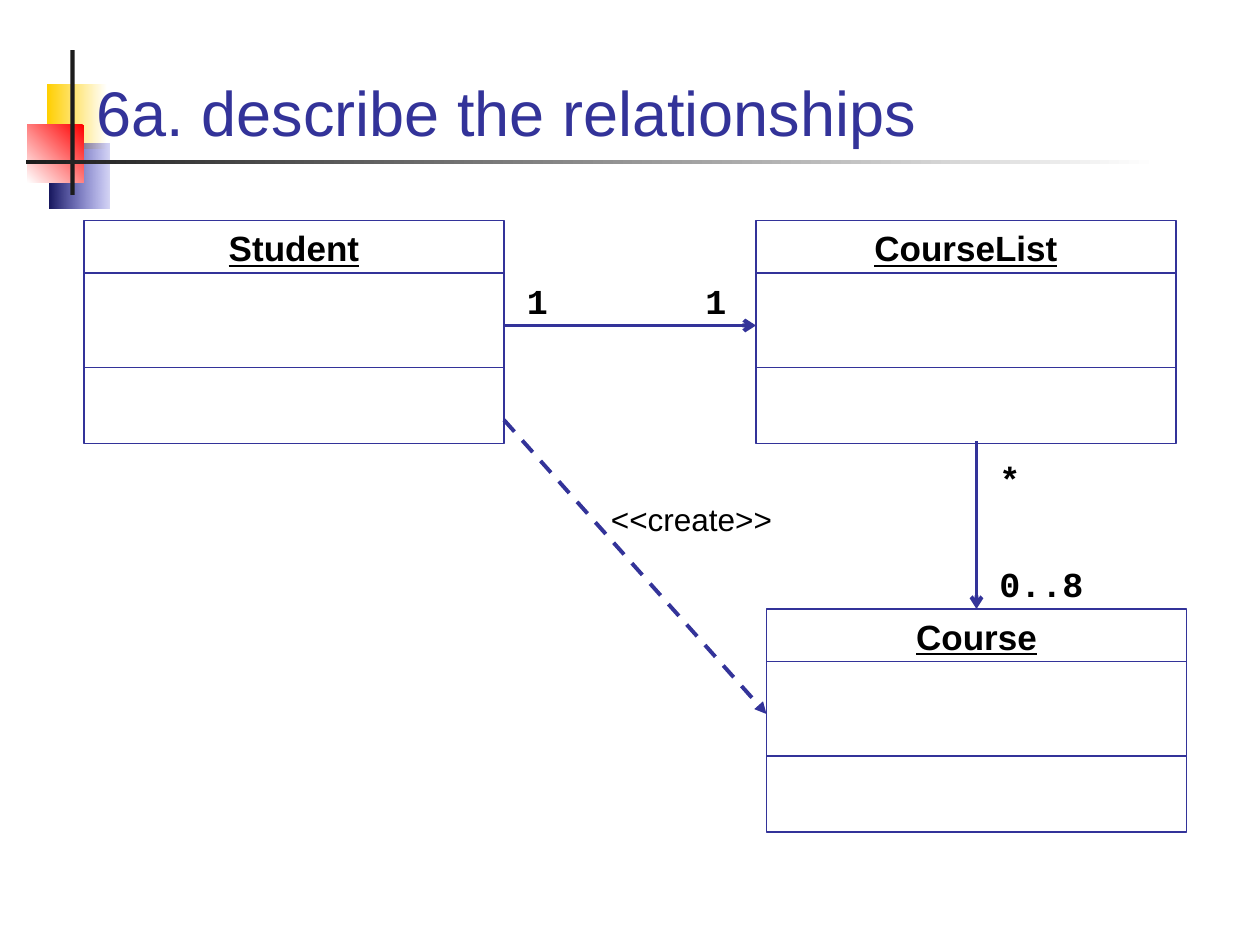
"""Build a class diagram slide describing the relationships of three classes."""
from lxml import etree
from pptx import Presentation
from pptx.dml.color import RGBColor
from pptx.enum.dml import MSO_LINE
from pptx.enum.shapes import MSO_CONNECTOR, MSO_SHAPE
from pptx.enum.text import MSO_ANCHOR, MSO_AUTO_SIZE, PP_ALIGN
from pptx.oxml.ns import qn
from pptx.util import Inches, Pt

RECTANGLE = MSO_SHAPE.RECTANGLE
STRAIGHT = MSO_CONNECTOR.STRAIGHT
DASH = MSO_LINE.DASH
TOP, BOTTOM = MSO_ANCHOR.TOP, MSO_ANCHOR.BOTTOM
LEFT, CENTER = PP_ALIGN.LEFT, PP_ALIGN.CENTER
NO_FIT = MSO_AUTO_SIZE.NONE
INDIGO, BLACK, CHARCOAL, WHITE = "333399", "000000", "1C1C1C", "FFFFFF"
CELL = Inches(1) / 12
CLASS_WIDTH, CLASS_HEIGHT = 40, 21.25


def grid(*cells):
    return [round(cell * CELL) for cell in cells]


def write(shape, text, size=20, font="Arial", color=BLACK, bold=False,
          underline=False, align=LEFT, anchor=TOP, wrap=True):
    frame = shape.text_frame
    frame.auto_size = NO_FIT
    frame.word_wrap = wrap
    frame.vertical_anchor = anchor
    paragraph = frame.paragraphs[0]
    paragraph.alignment = align
    run = paragraph.add_run()
    run.text = text
    run.font.size = Pt(size)
    run.font.name = font
    run.font.bold = bold
    run.font.underline = underline
    run.font.color.rgb = RGBColor.from_string(color)


presentation = Presentation()
presentation.slide_width, presentation.slide_height = grid(120, 90)
slide = presentation.slides.add_slide(presentation.slide_layouts[5])
shapes = slide.shapes

decorations = [
    ((4.5, 8, 5.7, 6.2), (WHITE, "FFCF01"), 180, None),
    ((4.7, 13.7, 5.7, 6.2), ("3333CC", "17175E"), 180, 20),
    ((2.6, 11.9, 5.4, 5.5), ("FF0000", WHITE), 225, None),
    ((6.7, 4.8, 0.4, 13.8), (CHARCOAL, CHARCOAL), 180, None),
    ((2.5, 15.2, 107.9, 0.4), (WHITE, CHARCOAL), 180, None),
]
for cells, colors, angle, opacity in decorations:
    decoration = shapes.add_shape(RECTANGLE, *grid(*cells))
    decoration.shadow.inherit = False
    decoration.line.fill.background()
    decoration.fill.gradient()
    decoration.fill.gradient_angle = angle
    for position, (stop, color) in enumerate(zip(decoration.fill.gradient_stops, colors)):
        stop.position = position
        stop.color.rgb = RGBColor.from_string(color)
    if opacity:
        first_color = next(decoration.element.iter(qn("a:srgbClr")))
        etree.SubElement(first_color, qn("a:alpha"), val=str(opacity * 1000))

title = shapes.title
title.left, title.top, title.width, title.height = grid(8, 3.4, 104, 11.4)
write(title, "6a. describe the relationships", size=36, color=INDIGO, anchor=BOTTOM)
title.element.getparent().append(title.element)

lines = []
classes = {}
for name, left, top in [("Student", 8, 21), ("CourseList", 72, 21), ("Course", 73, 58)]:
    box = shapes.add_shape(RECTANGLE, *grid(left, top, CLASS_WIDTH, CLASS_HEIGHT))
    box.shadow.inherit = False
    box.fill.background()
    box.line.color.rgb = RGBColor.from_string(INDIGO)
    box.line.width = Pt(0.75)
    write(box, name, bold=True, underline=True, align=CENTER)
    classes[name] = box
    for row in (top + 5, top + 14):
        lines.append(((left, row, left + CLASS_WIDTH, row), 0.75, None, None, None))

lines += [
    ((48, 31, 72, 31), 2.25, "arrow", None, None),
    ((93, 42, 93, 58), 2.25, "arrow", None, "Course"),
    ((48, 40, 73, 68), 2.25, "triangle", DASH, None),
]
for cells, width, arrowhead, dash, target in lines:
    connector = shapes.add_connector(STRAIGHT, *grid(*cells))
    connector.line.color.rgb = RGBColor.from_string(INDIGO)
    connector.line.width = Pt(width)
    if dash:
        connector.line.dash_style = dash
    if arrowhead:
        etree.SubElement(connector.line._get_or_add_ln(), qn("a:tailEnd"), type=arrowhead)
    if target:
        connector.end_connect(classes[target], 0)
    etree.SubElement(connector.element.spPr, qn("a:effectLst"))

for text, left, top, width in [("1", 49, 26, 4.3), ("1", 66, 26, 4.3),
                               ("*", 94, 43, 4.3), ("0..8", 94, 53, 10.4)]:
    label = shapes.add_textbox(*grid(left, top, width, 5.3))
    write(label, text, font="Courier New", bold=True, wrap=False)

stereotype = shapes.add_textbox(*grid(57, 47, 20, 4.8))
write(stereotype, "<<create>>", size=18)

presentation.save("out.pptx")
